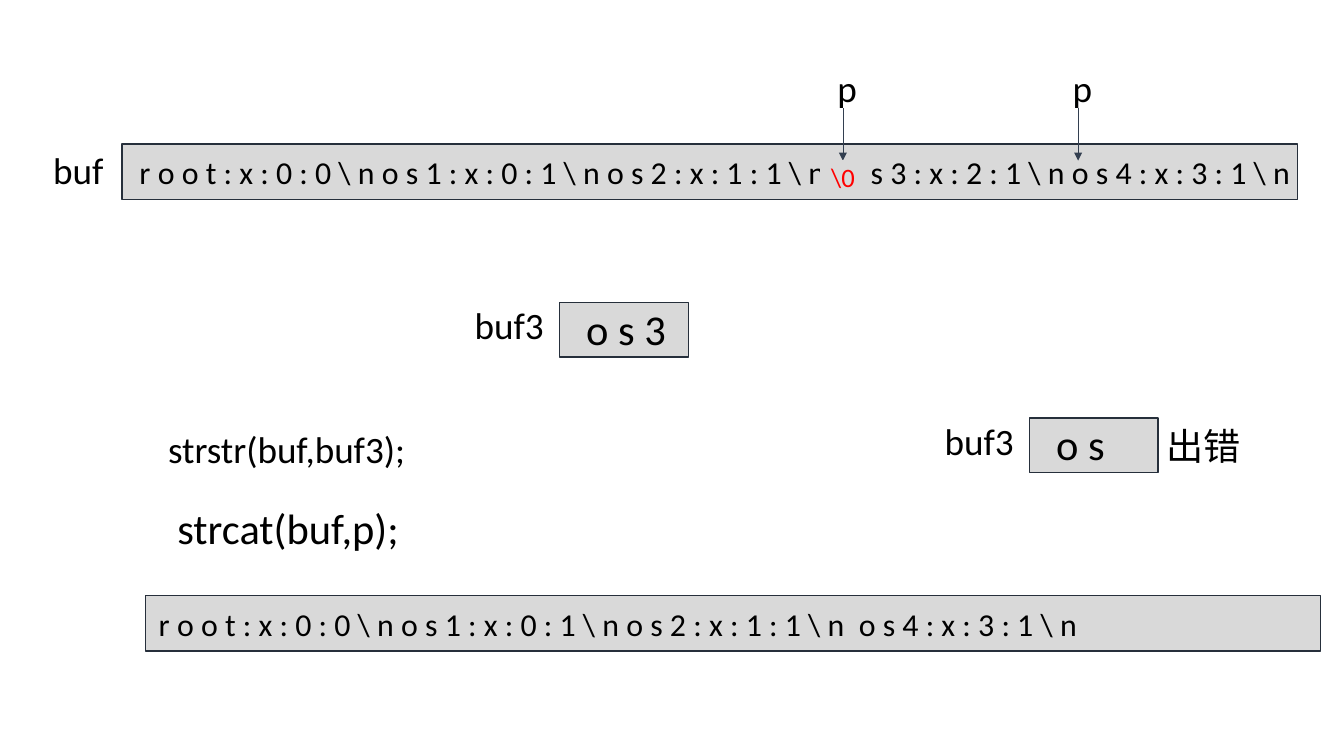
import pptx
import pptx.util
import pptx.dml.color
import pptx.enum.shapes
import pptx.enum.text
import pptx.oxml.ns
import lxml.etree

Pt = pptx.util.Pt
Shape = pptx.enum.shapes.MSO_SHAPE
Line = pptx.enum.shapes.MSO_CONNECTOR
Align = pptx.enum.text.PP_ALIGN
Anchor = pptx.enum.text.MSO_ANCHOR


def tint(code):
    return pptx.dml.color.RGBColor.from_string(code)


class Board:
    gray = "D9D9D9"
    edge = "262F3B"
    ink = "000000"
    red = "FF0000"
    arrow = "333F50"
    face = "Calibri"

    def __init__(self, slide):
        self.slide = slide

    def label(self, shape, words, size, color, align, form):
        frame = shape.text_frame
        for key, val in form.items():
            setattr(frame, key, val)
        para = frame.paragraphs[0]
        para.alignment = align
        run = para.add_run()
        run.text = words
        for key, val in {"name": self.face, "size": Pt(size)}.items():
            setattr(run.font, key, val)
        run.font.color.rgb = tint(color)

    def text(self, words, size, left, top, wide, high, wrap=True):
        box = self.slide.shapes.add_textbox(Pt(left), Pt(top), Pt(wide), Pt(high))
        form = {"word_wrap": wrap, "vertical_anchor": Anchor.TOP}
        self.label(box, words, size, self.ink, Align.LEFT, form)

    def rect(self, left, top, wide, high, edge=edge):
        box = self.slide.shapes.add_shape(
            Shape.RECTANGLE, Pt(left), Pt(top), Pt(wide), Pt(high))
        box.shadow.inherit = False
        box.fill.solid()
        box.fill.fore_color.rgb = tint(self.gray)
        box.line.color.rgb = tint(edge)
        box.line.width = Pt(1)
        return box

    def patch(self, words, left, top, wide, high):
        box = self.rect(left, top, wide, high, self.gray)
        form = {"word_wrap": True, "vertical_anchor": Anchor.MIDDLE}
        self.label(box, words, 20, self.red, Align.CENTER, form)

    def point(self, x):
        line = self.slide.shapes.add_connector(
            Line.STRAIGHT, Pt(x), Pt(81.5), Pt(x), Pt(121))
        line.line.color.rgb = tint(self.arrow)
        line.line.width = Pt(0.5)
        name = pptx.oxml.ns.qn
        props = line._element.spPr
        tail = lxml.etree.SubElement(props.find(name("a:ln")), name("a:tailEnd"))
        tail.set("type", "triangle")
        lxml.etree.SubElement(props, name("a:effectLst"))
        self.text("p", 28, x - 11.25, 45.5, 22.5, 41)

    def strip(self, words, left, top, pad):
        self.rect(left, top, 885.5, 42)
        self.text(words, 24, left + pad, top + 3.3, 929.5, 36)

    def cell(self, words, left, top):
        self.text("buf3", 28, left, top, 70.5, 41)
        self.rect(left + 71, top + 3.5, 97, 41)
        self.text(words, 32, left + 84, top, 90, 46)


def main():
    deck = pptx.Presentation()
    deck.slide_width, deck.slide_height = Pt(1012.5), Pt(569.5)
    board = Board(deck.slides.add_slide(deck.slide_layouts[6]))

    head = r"r o o t : x : 0 : 0 \ n o s 1 : x : 0 : 1 \ n o s 2 : x : 1 : 1 \ n  o"
    last = r" s 4 : x : 3 : 1 \ n"
    board.strip(head + r"  s 3 : x : 2 : 1 \ n o" + last, 92, 108.5, 6)
    board.text("buf", 28, 33, 107.5, 53.5, 41)
    for x in (635, 812.25):
        board.point(x)
    board.patch(r"\0", 618, 121, 34, 24.5)

    board.cell("o s 3", 350.5, 224.5)
    board.cell("o s", 704.5, 311.5)
    board.text("出错", 28, 872, 315.5, 70.5, 41)

    board.text("strstr(buf,buf3);", 28, 119.5, 318, 266.5, 41)
    board.text("strcat(buf,p);", 32, 126.5, 375, 183.5, 46, False)
    board.strip(head + last, 109.5, 448.5, 3)

    deck.save("out.pptx")


if __name__ == "__main__":
    main()
